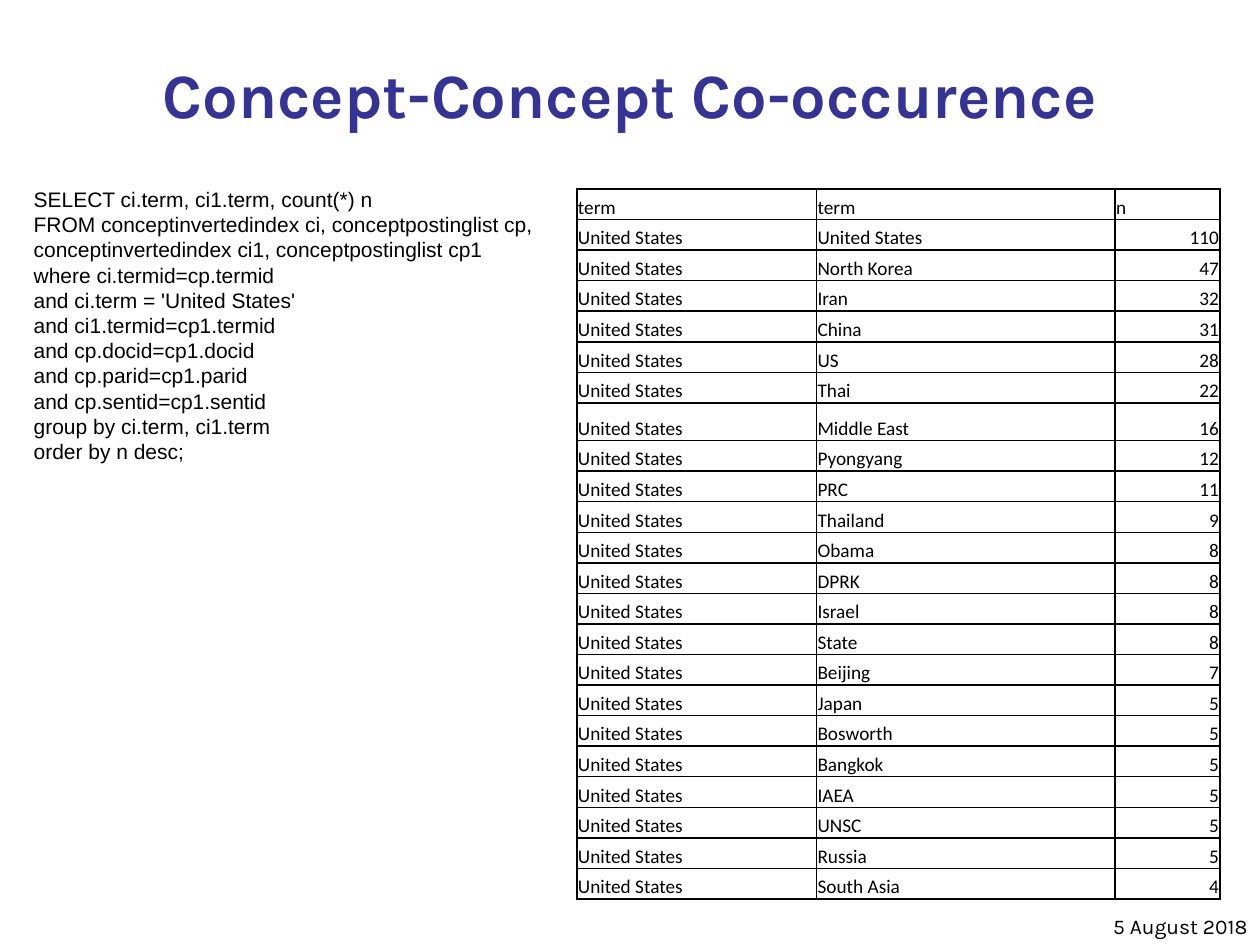
from lxml import etree
from pptx import Presentation
from pptx.enum import text as t
from pptx.oxml import ns
from pptx.dml.color import RGBColor
from pptx.util import Cm, Pt

COLORS = {"title": "333399", "ink": "000000"}

QUERY = [
    "SELECT ci.term, ci1.term, count(*) n",
    "FROM conceptinvertedindex ci, conceptpostinglist cp, ",
    "conceptinvertedindex ci1, conceptpostinglist cp1",
    "where ci.termid=cp.termid",
    "and ci.term = 'United States'",
    "and ci1.termid=cp1.termid",
    "and cp.docid=cp1.docid",
    "and cp.parid=cp1.parid",
    "and cp.sentid=cp1.sentid",
    "group by ci.term, ci1.term",
    "order by n desc;",
]

COUNTS = [
    ("United States", 110), ("North Korea", 47), ("Iran", 32), ("China", 31),
    ("US", 28), ("Thai", 22), ("Middle East", 16), ("Pyongyang", 12),
    ("PRC", 11), ("Thailand", 9), ("Obama", 8), ("DPRK", 8), ("Israel", 8),
    ("State", 8), ("Beijing", 7), ("Japan", 5), ("Bosworth", 5),
    ("Bangkok", 5), ("IAEA", 5), ("UNSC", 5), ("Russia", 5), ("South Asia", 4),
]

COLUMN_WIDTHS = (4.83, 6.02, 2.11)
TABLE_HEIGHT = 14.33
TALL_ROW, TALL_HEIGHT = 7, 0.76


def write(frame, lines, size, font, color="ink", bold=False, align="LEFT",
          anchor="BOTTOM"):
    """Fill a text frame with one paragraph per line."""
    frame.vertical_anchor = getattr(t.MSO_ANCHOR, anchor)
    for i, line in enumerate(lines):
        paragraph = frame.paragraphs[0] if i == 0 else frame.add_paragraph()
        paragraph.alignment = getattr(t.PP_ALIGN, align)
        run = paragraph.add_run()
        run.text = line
        run.font.size, run.font.name, run.font.bold = Pt(size), font, bold
        run.font.color.rgb = RGBColor.from_string(COLORS[color])


def add_title(slide, title):
    heading = slide.shapes.title
    heading.left, heading.top = Cm(0), Cm(1.07)
    heading.width, heading.height = Cm(25.4), Cm(1.7)
    heading.text_frame.auto_size = t.MSO_AUTO_SIZE.NONE
    write(heading.text_frame, [title], 36, "Karla", color="title", bold=True,
          align="CENTER")


def add_text(slide, lines, left, top, width, height, wrap=True, **style):
    box = slide.shapes.add_textbox(Cm(left), Cm(top), Cm(width), Cm(height))
    box.text_frame.word_wrap = wrap
    write(box.text_frame, lines, 12, **style)
    return box


def draw_borders(cell):
    properties = cell._tc.get_or_add_tcPr()
    for side in ("a:lnL", "a:lnR", "a:lnT", "a:lnB"):
        line = etree.SubElement(properties, ns.qn(side), w=str(Pt(1)))
        fill = etree.SubElement(line, ns.qn("a:solidFill"))
        etree.SubElement(fill, ns.qn("a:srgbClr"), val=COLORS["ink"])


def add_count_table(slide, left, top):
    rows = [("term", "term", "n")]
    rows += [("United States", term, str(n)) for term, n in COUNTS]
    table = slide.shapes.add_table(
        len(rows), len(COLUMN_WIDTHS), Cm(left), Cm(top),
        Cm(sum(COLUMN_WIDTHS)), Cm(TABLE_HEIGHT)).table
    table.first_row = table.horz_banding = False
    for column, width in zip(table.columns, COLUMN_WIDTHS):
        column.width = Cm(width)

    # All rows share the height left over by the tall one
    row_height = (TABLE_HEIGHT - TALL_HEIGHT) / (len(rows) - 1)
    for r, values in enumerate(rows):
        table.rows[r].height = Cm(TALL_HEIGHT if r == TALL_ROW else row_height)
        for c, value in enumerate(values):
            cell = table.cell(r, c)
            draw_borders(cell)
            cell.fill.background()
            cell.margin_left = cell.margin_right = cell.margin_top = Cm(0.02)
            cell.margin_bottom = 0
            write(cell.text_frame, [value], 11, "Calibri",
                  align="RIGHT" if r and c == 2 else "LEFT")
            cell.vertical_anchor = t.MSO_ANCHOR.BOTTOM


def main():
    deck = Presentation()
    deck.slide_width, deck.slide_height = Cm(25.4), Cm(19.05)
    slide = deck.slides.add_slide(deck.slide_layouts[5])

    # Heading
    add_title(slide, "Concept-Concept Co-occurence")

    # Term counts
    add_count_table(slide, 11.63, 3.81)

    # Date
    add_text(slide, ["5 August 2018"], 20.12, 17.98, 5.28, 1.07,
             font="Karla", align="RIGHT")

    # Query
    query = add_text(slide, QUERY, 0.43, 3.61, 10.77, 5.89, wrap=False,
                     font="Arial", anchor="MIDDLE")
    query.text_frame.auto_size = t.MSO_AUTO_SIZE.SHAPE_TO_FIT_TEXT

    deck.save("out.pptx")


main()
